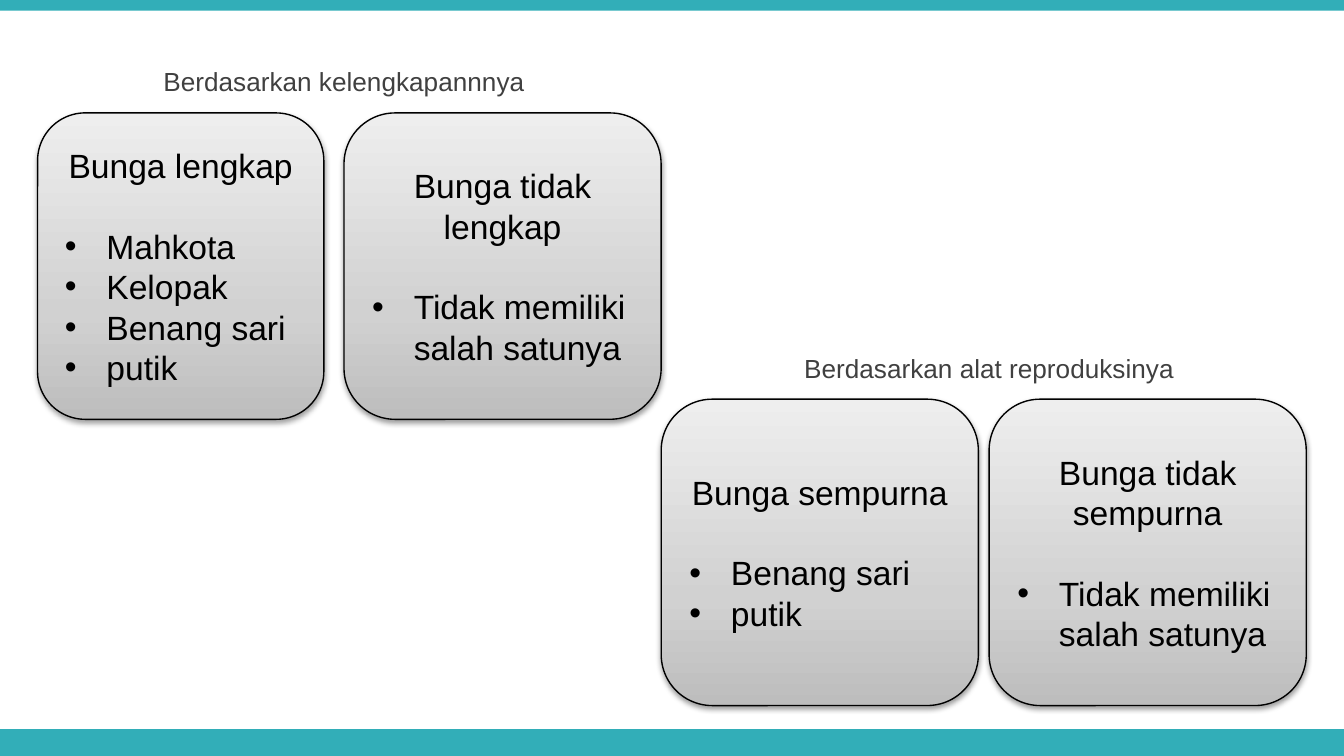
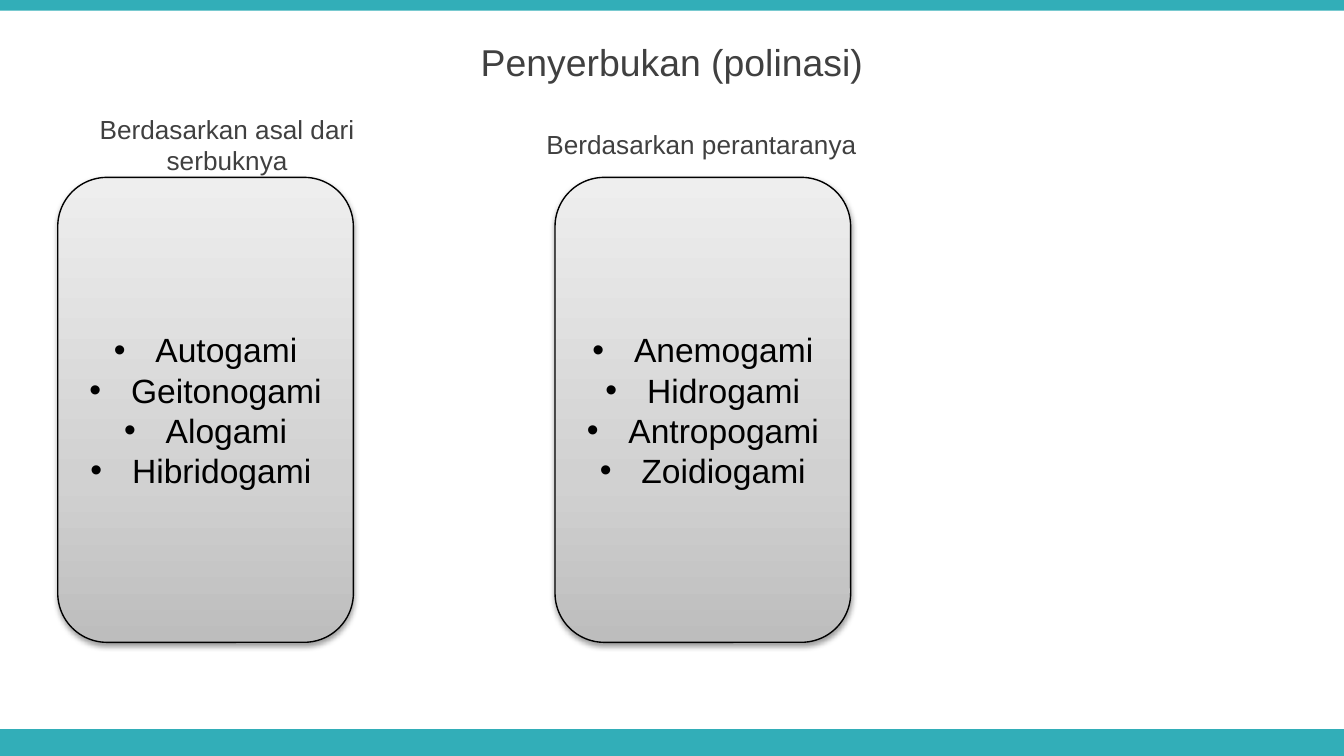
import pptx
import pptx.util
import pptx.oxml
import pptx.oxml.ns
import pptx.dml.color
import pptx.enum.shapes
import pptx.enum.text
from lxml import etree

Inches = pptx.util.Inches
Pt = pptx.util.Pt
SHAPE = pptx.enum.shapes.MSO_SHAPE
ALIGN = pptx.enum.text.PP_ALIGN
qn = pptx.oxml.ns.qn

WIDTH = 10
HEIGHT = WIDTH * 9 / 16
COLORS = {
    "band": "32AEB8",
    "heading": "404040",
    "ink": "000000",
    "card_bottom": "BDBDBD",
    "card_middle": "D1D1D1",
    "card_top": "EEEEEE",
}
CARD_STOPS = [(0, "card_bottom"), (35, "card_middle"), (100, "card_top")]


def rgb(name):
    return pptx.dml.color.RGBColor.from_string(COLORS[name])


class Deck:
    font = "Arial"

    def __init__(self):
        self.prs = pptx.Presentation()
        self.prs.slide_width = Inches(WIDTH)
        self.prs.slide_height = Inches(HEIGHT)

    def slide(self):
        self.s = self.prs.slides.add_slide(self.prs.slide_layouts[6])
        self.band(HEIGHT - 0.2, 0.2)
        self.band(0, 0.08)

    def shape(self, kind, x, y, w, h):
        sp = self.s.shapes.add_shape(kind, Inches(x), Inches(y), Inches(w), Inches(h))
        sp.shadow.inherit = False
        return sp

    def band(self, y, h):
        sp = self.shape(SHAPE.RECTANGLE, 0, y, WIDTH, h)
        sp.fill.solid()
        sp.fill.fore_color.rgb = rgb("band")
        sp.line.fill.background()

    def style(self, p, size, color, align=ALIGN.CENTER):
        p.alignment = align
        for r in p.runs:
            r.font.size = Pt(size)
            r.font.name = self.font
            r.font.color.rgb = rgb(color)

    def heading(self, text, x, y, w, h=0.31, size=14):
        sp = self.s.shapes.add_textbox(Inches(x), Inches(y), Inches(w), Inches(h))
        tf = sp.text_frame
        tf.word_wrap = True
        tf.margin_left = tf.margin_right = Inches(0.12)
        tf.vertical_anchor = pptx.enum.text.MSO_ANCHOR.MIDDLE
        tf.text = text
        self.style(tf.paragraphs[0], size, "heading")

    def gradient(self, sp):
        stops = "".join(
            f'<a:gs pos="{pos * 1000}"><a:srgbClr val="{COLORS[name]}"/></a:gs>'
            for pos, name in CARD_STOPS
        )
        fill = pptx.oxml.parse_xml(
            f'<a:gradFill {pptx.oxml.ns.nsdecls("a")} rotWithShape="1"><a:gsLst>{stops}</a:gsLst>'
            '<a:lin ang="16200000" scaled="0"/></a:gradFill>'
        )
        sp._element.spPr.find(qn("a:prstGeom")).addnext(fill)

    def soft_shadow(self, sp):
        effects = sp._element.spPr.find(qn("a:effectLst"))
        shadow = etree.SubElement(
            effects, qn("a:outerShdw"), blurRad=str(Pt(3.1)), dist=str(Pt(1.6)),
            dir="5400000", rotWithShape="0",
        )
        color = etree.SubElement(shadow, qn("a:srgbClr"), val=COLORS["ink"])
        etree.SubElement(color, qn("a:alpha"), val="38000")

    def bullet(self, p):
        pPr = p._p.get_or_add_pPr()
        pPr.set("marL", str(Inches(0.31)))
        pPr.set("indent", str(-Inches(0.31)))
        etree.SubElement(pPr, qn("a:buFont"), typeface=self.font)
        etree.SubElement(pPr, qn("a:buChar"), char="•")

    def card(self, x, y, w, h, titles, items, item_align=ALIGN.LEFT):
        sp = self.shape(SHAPE.ROUNDED_RECTANGLE, x, y, w, h)
        self.gradient(sp)
        self.soft_shadow(sp)
        sp.line.color.rgb = rgb("ink")
        sp.line.width = Pt(0.75)
        tf = sp.text_frame
        tf.word_wrap = True
        tf.vertical_anchor = pptx.enum.text.MSO_ANCHOR.MIDDLE
        tf.text = "\n".join(titles + items)
        for i, p in enumerate(tf.paragraphs):
            is_item = i >= len(titles)
            if is_item:
                self.bullet(p)
            if titles and i == len(titles):
                p.space_before = Pt(21.6)
            self.style(p, 18, "ink", item_align if is_item else ALIGN.CENTER)


def flower_types(deck):
    deck.slide()
    missing = ["Tidak memiliki salah satunya"]
    top, bottom, w, h = 0.84, 2.97, 2.36, 2.28
    deck.card(0.28, top, 2.13, h, ["Bunga lengkap"],
              ["Mahkota", "Kelopak", "Benang sari", "putik"])
    deck.heading("Berdasarkan kelengkapannnya", 0.55, 0.45, 4.02)
    deck.card(2.56, top, w, h, ["Bunga tidak", "lengkap"], missing)
    deck.card(4.92, bottom, w, h, ["Bunga sempurna"], ["Benang sari", "putik"])
    deck.heading("Berdasarkan alat reproduksinya", 5.35, 2.58, 4.02)
    deck.card(7.36, bottom, w, h, ["Bunga tidak", "sempurna"], missing)


def pollination(deck):
    deck.slide()
    deck.heading("Penyerbukan (polinasi)", 0, 0.14, WIDTH, 0.63, 20)
    groups = [
        (0.17, 0.43, "Berdasarkan asal dari serbuknya",
         ["Autogami", "Geitonogami", "Alogami", "Hibridogami "]),
        (3.7, 4.13, "Berdasarkan perantaranya",
         ["Anemogami", "Hidrogami", "Antropogami", "Zoidiogami"]),
    ]
    for heading_x, card_x, text, items in groups:
        deck.card(card_x, 1.32, 2.2, 3.46, [], items, ALIGN.CENTER)
        deck.heading(text, heading_x, 0.92, 3.04)


def main():
    deck = Deck()
    flower_types(deck)
    pollination(deck)
    deck.prs.save("out.pptx")


if __name__ == "__main__":
    main()
